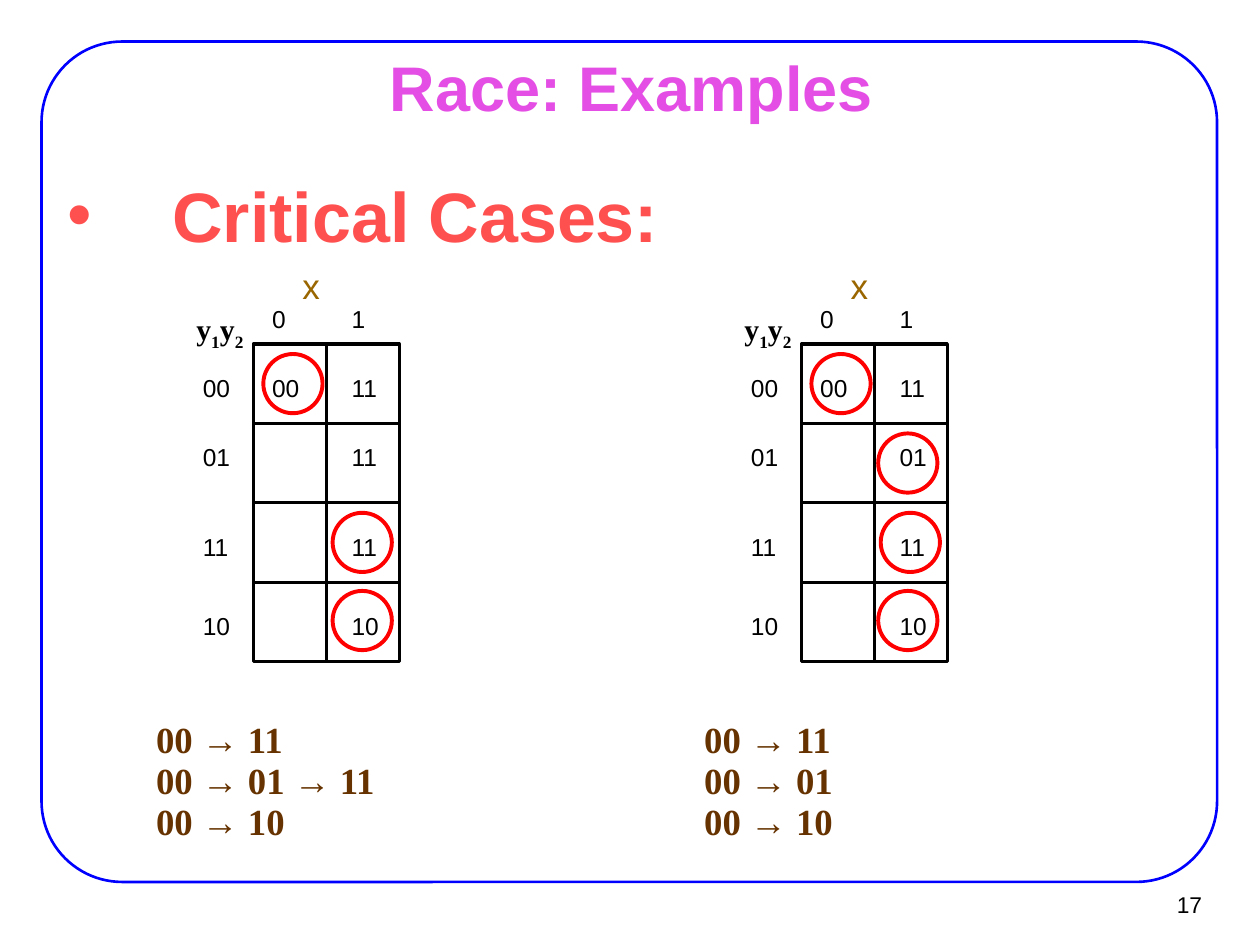
from lxml import etree
from pptx import Presentation
from pptx.dml.color import RGBColor
from pptx.enum.shapes import MSO_CONNECTOR, MSO_SHAPE
from pptx.enum.text import MSO_ANCHOR, PP_ALIGN
from pptx.oxml.ns import qn
from pptx.util import Inches, Pt

STRAIGHT = MSO_CONNECTOR.STRAIGHT
RECTANGLE, ELLIPSE = MSO_SHAPE.RECTANGLE, MSO_SHAPE.OVAL
ROUNDED = MSO_SHAPE.ROUNDED_RECTANGLE
TOP, MIDDLE = MSO_ANCHOR.TOP, MSO_ANCHOR.MIDDLE
LEFT, CENTER, RIGHT = PP_ALIGN.LEFT, PP_ALIGN.CENTER, PP_ALIGN.RIGHT

BLACK = RGBColor(0x00, 0x00, 0x00)
BLUE = RGBColor(0x00, 0x00, 0xFF)
RED = RGBColor(0xFF, 0x00, 0x00)
PINK = RGBColor(0xE4, 0x4E, 0xE4)
CORAL = RGBColor(0xFF, 0x50, 0x50)
OCHRE = RGBColor(0x99, 0x66, 0x00)
BROWN = RGBColor(0x66, 0x33, 0x00)
SANS, SERIF = "Arial", "Times New Roman"

ARROW = "→"
MAP_LEFT, MAP_TOP, MAP_WIDTH = 2.01, 2.73, 1.16
ROW_HEIGHT = 0.63
STATES = ["00", "01", "11", "10"]
STATE_TOPS = [2.96, 3.51, 4.22, 4.85]
COLUMN_LEFTS = [2.16, 2.79]
CIRCLE_SIZE = 0.47
TRANSITION_TOP, TRANSITION_STEP = 5.64, 0.325

RACES = [
    {
        "offset": 0,
        "next_states": ["11", "11", "11", "10"],
        "stable": [(2.09, 2.81), (2.64, 4.07), (2.64, 4.69)],
        "transitions": [["00", "11"], ["00", "01", "11"], ["00", "10"]],
    },
    {
        "offset": 4.35,
        "next_states": ["11", "01", "11", "10"],
        "stable": [(2.09, 2.81), (2.62, 3.44), (2.64, 4.07), (2.62, 4.69)],
        "transitions": [["00", "11"], ["00", "01"], ["00", "10"]],
    },
]


def add_outline(slide, kind, box, color, width):
    """Add an unfilled preset shape with a coloured outline."""
    shape = slide.shapes.add_shape(kind, *map(Inches, box))
    shape.shadow.inherit = False
    shape.fill.background()
    shape.line.color.rgb = color
    shape.line.width = Pt(width)
    return shape


def add_grid_line(slide, start, end):
    """Add a black straight connector without a shadow."""
    line = slide.shapes.add_connector(STRAIGHT, *map(Inches, start + end))
    line.line.color.rgb = BLACK
    line.line.width = Pt(1.75)
    etree.SubElement(line._element.spPr, qn("a:effectLst"))
    return line


def add_text(slide, box, pieces, size, color=BLACK, font=SANS, bold=False,
             insets=(0, 0), wrap=False, align=LEFT, anchor=TOP):
    """Add a one-paragraph text box with one run for each piece of text."""
    text_box = slide.shapes.add_textbox(*map(Inches, box))
    frame = text_box.text_frame
    frame.word_wrap = wrap
    frame.vertical_anchor = anchor
    frame.margin_left = frame.margin_right = Inches(insets[0])
    frame.margin_top = frame.margin_bottom = Inches(insets[1])
    paragraph = frame.paragraphs[0]
    paragraph.alignment = align
    for piece in pieces:
        run = paragraph.add_run()
        run.text = piece
        run.font.size = Pt(size)
        run.font.name = font
        run.font.bold = bold
        run.font.color.rgb = color
    return paragraph


def add_heading(slide):
    """Add the bulleted heading with a hanging indent."""
    paragraph = add_text(slide, (0.43, 1.31, 5.43, 0.84), ["Critical Cases:"], 40,
                         CORAL, bold=True, insets=(0.11, 0.06), wrap=True)
    paragraph.space_before = Pt(10)
    properties = paragraph._p.get_or_add_pPr()
    properties.set("marL", str(Inches(0.83)))
    properties.set("indent", str(Inches(-0.83)))
    bullet_color = etree.SubElement(properties, qn("a:buClr"))
    etree.SubElement(bullet_color, qn("a:srgbClr"), val=str(CORAL))
    etree.SubElement(properties, qn("a:buFont"), typeface=SANS)
    etree.SubElement(properties, qn("a:buChar"), char="•")


def add_grid(slide, left):
    """Add the frame of a map with two columns and four rows."""
    height = ROW_HEIGHT * len(STATES)
    right, center = left + MAP_WIDTH, left + MAP_WIDTH / 2
    frame = add_outline(slide, RECTANGLE, (left, MAP_TOP, MAP_WIDTH, height), BLACK, 1.75)
    divider = add_grid_line(slide, (center, MAP_TOP), (center, MAP_TOP + height))
    divider.begin_connect(frame, 0)
    divider.end_connect(frame, 2)
    for row in range(1, len(STATES)):
        y = MAP_TOP + row * ROW_HEIGHT
        line = add_grid_line(slide, (right, y), (left, y))
        if row == len(STATES) / 2:
            line.begin_connect(frame, 3)
            line.end_connect(frame, 1)


def add_state_variables(slide, offset):
    """Add the y1y2 label with subscript digits."""
    paragraph = add_text(slide, (1.46 + offset, 2.42, 1.1, 0.43), ["y", "1", "y", "2"], 17,
                         font=SERIF, bold=True, insets=(0.1, 0.05), wrap=True)
    paragraph.space_before = Pt(10.6)
    for run in paragraph.runs[1::2]:
        run.font._element.set("baseline", "-25000")


def add_transition(slide, left, top, states):
    """Add a sequence of states joined by arrows."""
    pieces = f" {ARROW} ".join(states).replace(ARROW, f"|{ARROW}|").split("|")
    width = 1.22 + 0.73 * (len(states) - 2)
    paragraph = add_text(slide, (left, top, width, 0.45), pieces, 21, BROWN, SERIF, True,
                         insets=(0.1, 0.05))
    for run in paragraph.runs[1::2]:
        run.font.name = SANS


def add_race(slide, offset, next_states, stable, transitions):
    """Add one state map with its labels, stable states and transitions."""
    add_grid(slide, MAP_LEFT + offset)
    add_text(slide, (2.4 + offset, 2.1, 0.19, 0.33), ["x"], 20, OCHRE)
    labels = [(left, 2.41, digit) for left, digit in zip(COLUMN_LEFTS, "01")]
    labels += [(1.61, top, state) for top, state in zip(STATE_TOPS, STATES)]
    labels.append((COLUMN_LEFTS[0], STATE_TOPS[0], "00"))
    labels += [(COLUMN_LEFTS[1], top, state) for top, state in zip(STATE_TOPS, next_states)]
    for left, top, label in labels:
        add_text(slide, (left + offset, top, 0.27, 0.23), [label], 14)
    for left, top in stable:
        add_outline(slide, ELLIPSE, (left + offset, top, CIRCLE_SIZE, CIRCLE_SIZE), RED, 2.25)
    add_state_variables(slide, offset)
    for index, states in enumerate(transitions):
        add_transition(slide, 1.14 + offset, TRANSITION_TOP + index * TRANSITION_STEP, states)


def main():
    """Build the slide and save the presentation."""
    presentation = Presentation()
    presentation.slide_width, presentation.slide_height = Inches(10), Inches(7.5)
    slide = presentation.slides.add_slide(presentation.slide_layouts[6])
    border = add_outline(slide, ROUNDED, (0.33, 0.33, 9.33, 6.67), BLUE, 1.5)
    border.adjustments[0] = 0.096
    add_text(slide, (9.02, 6.99, 0.61, 0.37), ["17"], 13, insets=(0.09, 0.04),
             align=RIGHT, anchor=MIDDLE)
    add_text(slide, (0.76, 0.44, 8.5, 0.49), ["Race: Examples"], 36, PINK, bold=True,
             insets=(0.11, 0.06), wrap=True, align=CENTER, anchor=MIDDLE)
    add_heading(slide)
    for race in RACES:
        add_race(slide, **race)
    presentation.save("out.pptx")


if __name__ == "__main__":
    main()
